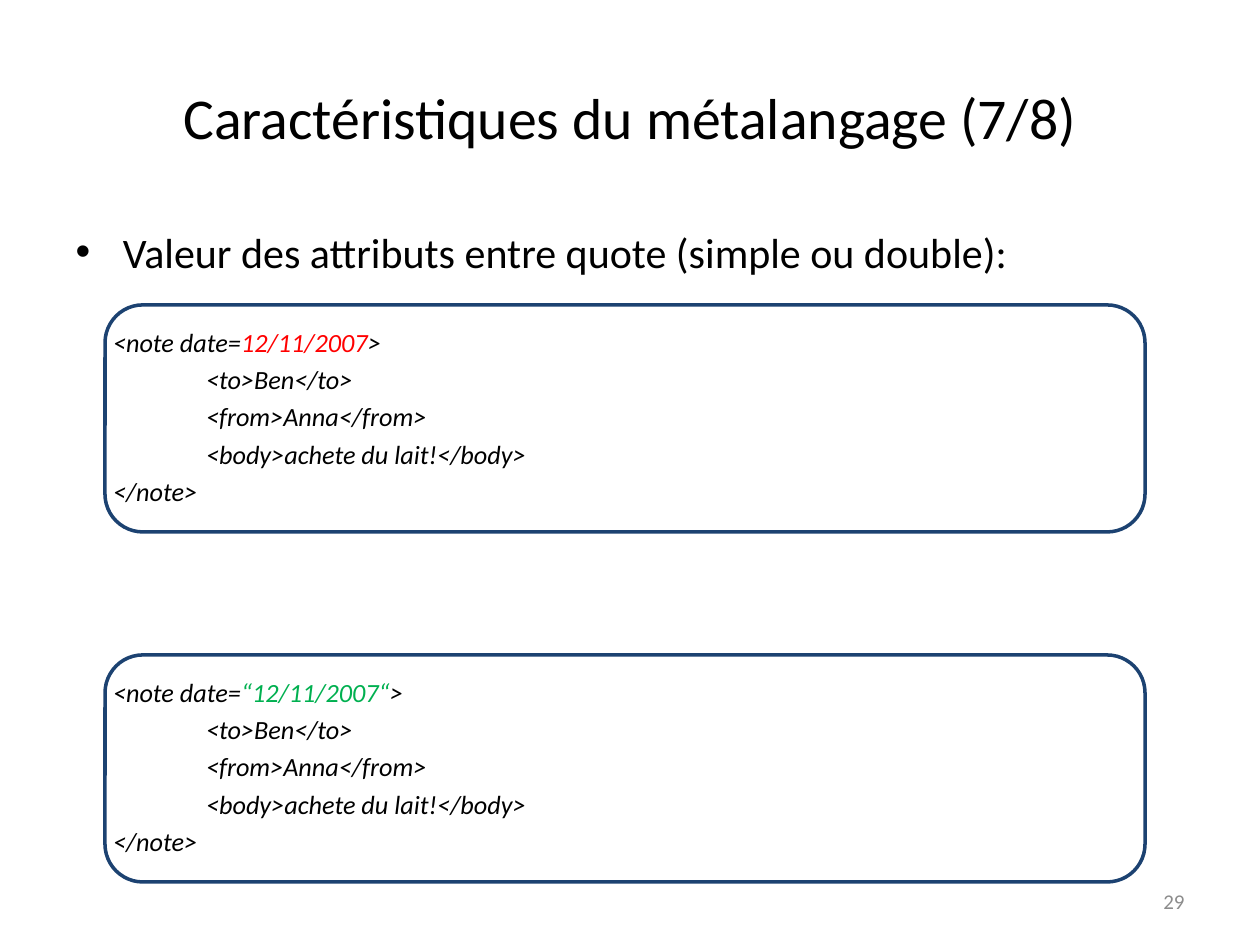
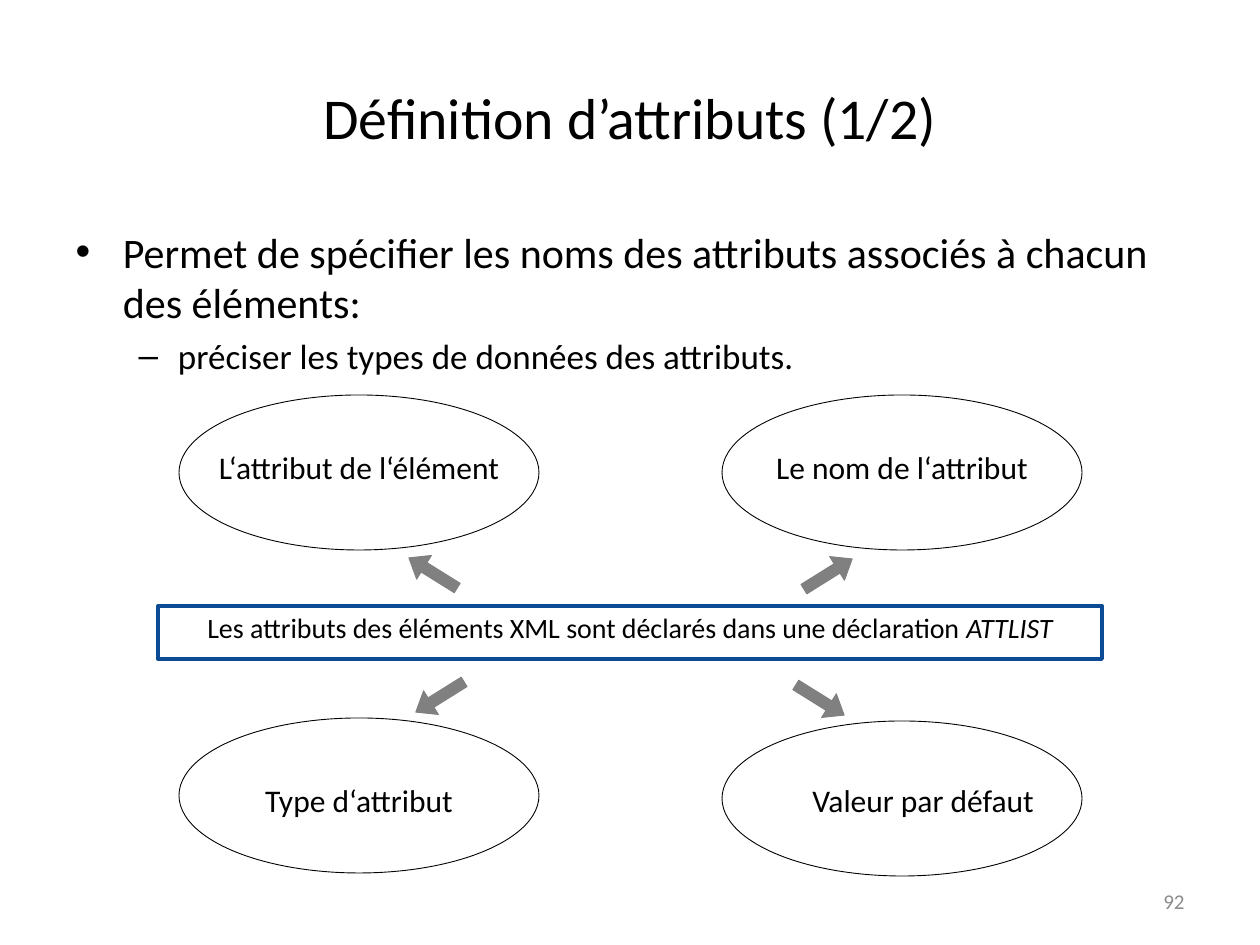
import pptx
import pptx.util
import pptx.dml.color
from lxml import etree
from pptx.enum.shapes import MSO_SHAPE
from pptx.enum.text import MSO_ANCHOR, MSO_AUTO_SIZE, PP_ALIGN
from pptx.oxml.ns import qn

# Shared style
FONT = "Calibri"
BLACK, GREY, PAGE_GREY = "000000", "808080", "8C8C8C"
RED, GREEN = "FF0000", "00B050"
CODE_BLUE, BAND_BLUE = "1C4271", "0D4A96"
PX_PER_INCH = 126
TITLE_BOX = (63, 38, 1134, 157)
BODY_BOX = (63, 220, 1134, 624)
PAGE_BOX = (903, 876, 294, 50)

# Content: a list item is (level, text); a run is (text, format)
NOTE = {
    "title": "Caractéristiques du métalangage (7/8)",
    "items": [(0, "Valeur des attributs entre quote (simple ou double):")],
    "page": "29",
}
DATES = [("12/11/2007", RED), ("“12/11/2007“", GREEN)]
NOTE_LINES = ["\t<to>Ben</to>", "\t<from>Anna</from>",
              "\t<body>achete du lait!</body>", "</note>"]

ATTLIST = {
    "title": "Définition d’attributs (1/2)",
    "items": [
        (0, "Permet de spécifier les noms des attributs associés à chacun des éléments:"),
        (1, "préciser les types de données des attributs."),
    ],
    "page": "92",
}
DECLARATION = [
    ("Les attributs des éléments XML sont déclarés dans une déclaration ", {}),
    ("ATTLIST", {"italic": True}),
]
# Ellipse left and top, label, label box, label alignment
ELLIPSES = [
    (179, 395, "L‘attribut de l‘élément", (179, 442, 360, 50), PP_ALIGN.CENTER),
    (722, 395, "Le nom de l‘attribut", (722, 442, 360, 50), PP_ALIGN.CENTER),
    (179, 718, "Type d‘attribut", (179, 775, 360, 50), PP_ALIGN.CENTER),
    (722, 721, "Valeur par défaut", (800, 775, 380, 50), PP_ALIGN.LEFT),
]
# Arrow centre and clockwise turn from pointing down
TILT = 58
ARROWS = [(433, 573, 180 - TILT), (828, 574, 180 + TILT),
          (440, 697, TILT), (820, 700, 360 - TILT)]


def px(n):
    return pptx.util.Emu(round(n * 914400 / PX_PER_INCH))


def rgb(hex_color):
    return pptx.dml.color.RGBColor.from_string(hex_color)


def place(sp, box):
    sp.left, sp.top, sp.width, sp.height = map(px, box)


def write(p, text, size=18, color=BLACK, italic=False):
    r = p.add_run()
    r.text = text
    f = r.font
    f.name, f.size, f.italic = FONT, pptx.util.Pt(size), italic
    f.color.rgb = rgb(color)


def add_text_box(s, box, align=PP_ALIGN.LEFT, anchor=MSO_ANCHOR.TOP, inset=None, grow=False):
    tf = s.shapes.add_textbox(*map(px, box)).text_frame
    tf.word_wrap = True
    tf.vertical_anchor = anchor
    if grow:
        tf.auto_size = MSO_AUTO_SIZE.SHAPE_TO_FIT_TEXT
    if inset is not None:
        tf.margin_left = tf.margin_top = tf.margin_right = tf.margin_bottom = px(inset)
    tf.paragraphs[0].alignment = align
    return tf


def add_shape(s, kind, box, line, width, fill=None):
    sp = s.shapes.add_shape(kind, *map(px, box))
    sp.shadow.inherit = False
    if fill:
        sp.fill.solid()
        sp.fill.fore_color.rgb = rgb(fill)
    else:
        sp.fill.background()
    sp.line.color.rgb = rgb(line)
    sp.line.width = pptx.util.Pt(width)
    return sp


def next_paragraph(tf, i):
    return tf.add_paragraph() if i else tf.paragraphs[0]


def add_slide(prs, content):
    """Title, bulleted list and page number."""
    s = prs.slides.add_slide(prs.slide_layouts[1])
    title, body = s.shapes.title, s.placeholders[1]
    place(title, TITLE_BOX)
    place(body, BODY_BOX)

    title.text_frame.vertical_anchor = MSO_ANCHOR.MIDDLE
    p = title.text_frame.paragraphs[0]
    p.alignment = PP_ALIGN.CENTER
    write(p, content["title"], size=33)

    for i, (level, text) in enumerate(content["items"]):
        p = next_paragraph(body.text_frame, i)
        p.level = level
        p.space_before = pptx.util.Pt(4 if i else 0)
        write(p, text, size=24 - 4 * level)

    tf = add_text_box(s, PAGE_BOX, PP_ALIGN.RIGHT, MSO_ANCHOR.MIDDLE)
    write(tf.paragraphs[0], content["page"], size=12, color=PAGE_GREY)
    return s


def add_tab_stop(p, position):
    tabs = etree.SubElement(p._p.get_or_add_pPr(), qn("a:tabLst"))
    etree.SubElement(tabs, qn("a:tab"), pos=str(px(position)), algn="l")


def add_code_box(s, box, date, color):
    add_shape(s, MSO_SHAPE.ROUNDED_RECTANGLE, box, CODE_BLUE, 2, "FFFFFF")
    tf = add_text_box(s, box, anchor=MSO_ANCHOR.MIDDLE, inset=8)
    opening = [("<note date=", BLACK), (date, color), (">", BLACK)]
    lines = [opening] + [[(text, BLACK)] for text in NOTE_LINES]
    for i, runs in enumerate(lines):
        p = next_paragraph(tf, i)
        p.line_spacing = 0.9
        p.space_after = pptx.util.Pt(5)
        add_tab_stop(p, 93)
        for text, run_color in runs:
            write(p, text, size=15, color=run_color, italic=True)


def build_note_slide(prs):
    s = add_slide(prs, NOTE)
    for i, (date, color) in enumerate(DATES):
        add_code_box(s, (105, 305 + 350 * i, 1040, 227), date, color)


def build_attlist_slide(prs):
    s = add_slide(prs, ATTLIST)

    # Arrows from the declaration to the ellipses
    w, h = 28, 57
    for x, y, turn in ARROWS:
        sp = add_shape(s, MSO_SHAPE.DOWN_ARROW, (x - w / 2, y - h / 2, w, h), GREY, 0.5, GREY)
        sp.adjustments[0], sp.adjustments[1] = 0.4, 0.64
        sp.rotation = turn

    # Declaration band
    add_shape(s, MSO_SHAPE.RECTANGLE, (158, 606, 944, 53), BAND_BLUE, 2.25)
    tf = add_text_box(s, (158, 604, 944, 47), PP_ALIGN.CENTER, grow=True)
    for text, style in DECLARATION:
        write(tf.paragraphs[0], text, size=16, **style)

    # Labelled ellipses
    for x, y, label, label_box, align in ELLIPSES:
        add_shape(s, MSO_SHAPE.OVAL, (x, y, 360, 155), BLACK, 0.5)
        tf = add_text_box(s, label_box, align, grow=True)
        write(tf.paragraphs[0], label)


def main():
    prs = pptx.Presentation()
    prs.slide_width, prs.slide_height = px(1260), px(945)
    build_note_slide(prs)
    build_attlist_slide(prs)
    prs.save("out.pptx")


if __name__ == "__main__":
    main()
